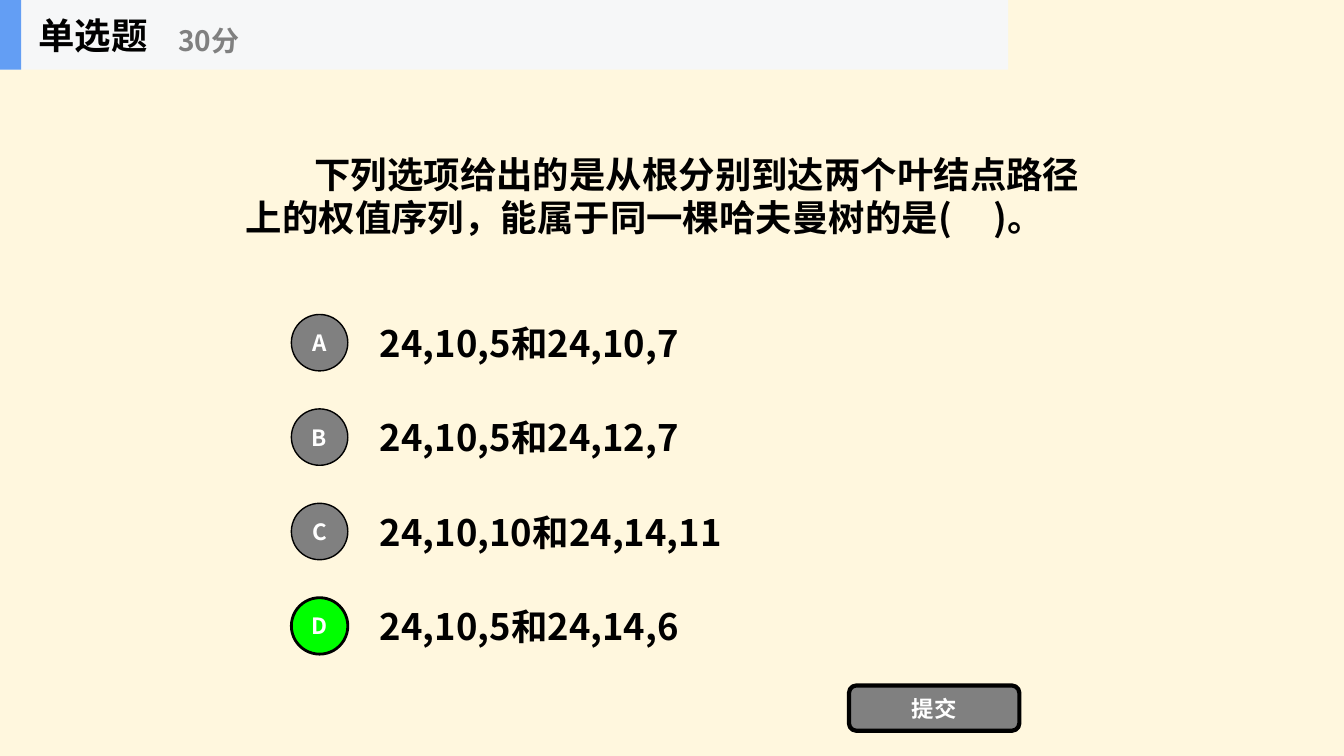
from lxml import etree
from pptx import Presentation
from pptx.dml.color import RGBColor
from pptx.enum.shapes import MSO_SHAPE
from pptx.enum.text import MSO_ANCHOR, PP_ALIGN
from pptx.oxml.ns import qn
from pptx.util import Inches, Pt

RECT, ROUNDED, OVAL = MSO_SHAPE.RECTANGLE, MSO_SHAPE.ROUNDED_RECTANGLE, MSO_SHAPE.OVAL
LEFT, CENTER = PP_ALIGN.LEFT, PP_ALIGN.CENTER
MIDDLE = MSO_ANCHOR.MIDDLE

FONT = "Noto Sans CJK SC"
COLORS = {
    "background": "FFF7DE",
    "band": "F6F7F8",
    "accent": "639EF4",
    "text": "000000",
    "muted": "808080",
    "correct": "00FF00",
    "white": "FFFFFF",
}
OPTIONS = {
    "A": "24,10,5和24,10,7",
    "B": "24,10,5和24,12,7",
    "C": "24,10,10和24,14,11",
    "D": "24,10,5和24,14,6",
}
ANSWER = "D"
OPTION_TOP = 3.05
OPTION_STEP = 2.81 / 3


def rgb(name):
    return RGBColor.from_string(COLORS[name])


def write(frame, text, size=26, color="text", align=LEFT, indent=0):
    frame.word_wrap = True
    frame.vertical_anchor = MIDDLE
    paragraph = frame.paragraphs[0]
    paragraph.alignment = align
    if indent:
        paragraph._p.get_or_add_pPr().set("indent", str(Inches(indent)))
    run = paragraph.add_run()
    run.text = text
    run.font.size = Pt(size)
    run.font.bold = True
    run.font.color.rgb = rgb(color)
    run.font.name = FONT
    east_asian = etree.SubElement(run._r.get_or_add_rPr(), qn("a:ea"))
    east_asian.set("typeface", FONT)


class QuizSlide:
    """Draw the parts of a quiz question on one slide."""

    def __init__(self, deck):
        self.slide = deck.slides.add_slide(deck.slide_layouts[5])
        self.shapes = self.slide.shapes
        fill = self.slide.background.fill
        fill.solid()
        fill.fore_color.rgb = rgb("background")

    def title(self, text, left, top, width, height):
        heading = self.shapes.title
        heading.left, heading.top = Inches(left), Inches(top)
        heading.width, heading.height = Inches(width), Inches(height)
        write(heading.text_frame, text)
        self.shapes.element.append(heading.element)

    def text(self, text, left, top, width, height, **style):
        box = self.shapes.add_textbox(
            Inches(left), Inches(top), Inches(width), Inches(height))
        write(box.text_frame, text, **style)

    def shape(self, kind, left, top, width, height, fill, line=0, label=""):
        figure = self.shapes.add_shape(
            kind, Inches(left), Inches(top), Inches(width), Inches(height))
        figure.shadow.inherit = False
        figure.fill.solid()
        figure.fill.fore_color.rgb = rgb(fill)
        if line:
            figure.line.color.rgb = rgb("text")
            figure.line.width = Pt(line)
        else:
            figure.line.fill.background()
        if label:
            frame = figure.text_frame
            frame.margin_left = frame.margin_right = 0
            write(frame, label, size=16, color="white", align=CENTER)

    def option(self, letter, answer, top):
        correct = letter == ANSWER
        self.text(answer, 3.67, top, 7, 0.7)
        self.shape(OVAL, 2.89, top + 0.07, 0.56, 0.56,
                   "correct" if correct else "muted", 2 if correct else 1, letter)


def main():
    deck = Presentation()
    deck.slide_width, deck.slide_height = Inches(13.33), Inches(7.5)
    quiz = QuizSlide(deck)
    quiz.text("下列选项给出的是从根分别到达两个叶结点路径上的权值序列，能属于同一棵哈夫曼树的是(     )。",
              2.34, 0.77, 8.65, 2.34, indent=0.68)
    for row, (letter, answer) in enumerate(OPTIONS.items()):
        quiz.option(letter, answer, OPTION_TOP + row * OPTION_STEP)
    quiz.shape(ROUNDED, 8.42, 6.8, 1.69, 0.45, "muted", 3, "提交")
    quiz.shape(RECT, 0, 0, 10, 0.69, "band")
    quiz.shape(RECT, 0, 0, 0.21, 0.69, "accent")
    quiz.title("单选题", 0.28, 0, 2.08, 0.69)
    quiz.text("30分", 1.67, 0.12, 2.5, 0.56, size=20, color="muted")
    deck.save("out.pptx")


if __name__ == "__main__":
    main()
